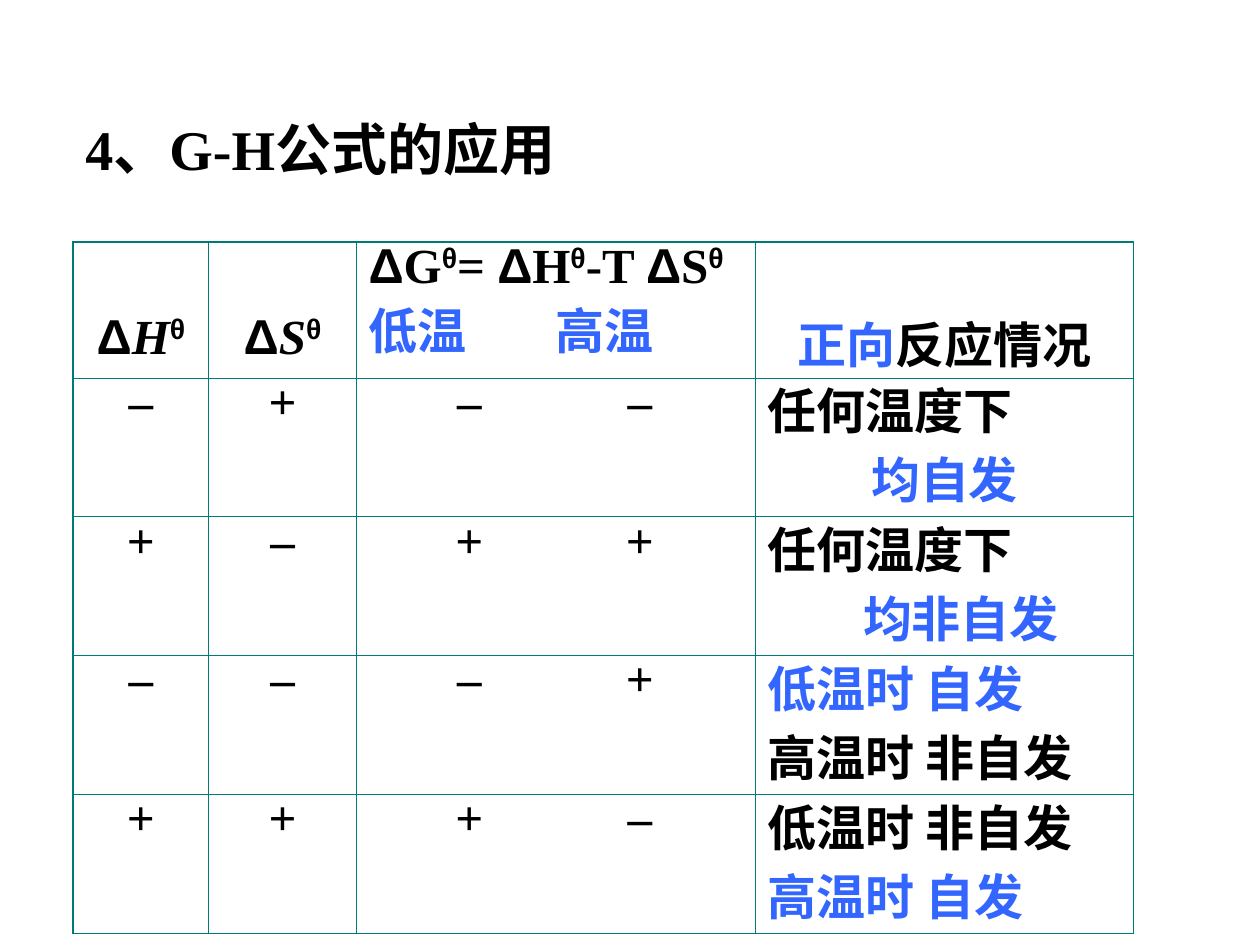
from lxml.etree import SubElement
from pptx import Presentation
from pptx.dml.color import RGBColor
from pptx.enum.text import MSO_ANCHOR, PP_ALIGN
from pptx.oxml.ns import qn
from pptx.util import Cm, Pt

BLACK, BLUE, TEAL = "000000", "3366FF", "007A77"


def rgb(value):
    return RGBColor.from_string(value)


def add_line(p, runs, size=28, align=PP_ALIGN.LEFT, tabs=()):
    """Fill a paragraph; run flags: a = Arial, i = italic, ^ = superscript, b = blue."""
    p.alignment = align
    if tabs:
        tab_list = SubElement(p._p.get_or_add_pPr(), qn("a:tabLst"))
        for pos, kind in tabs:
            SubElement(tab_list, qn("a:tab"), pos=str(Cm(pos)), algn=kind)
    p.font.size, p.font.bold = Pt(size), True
    for text, flags in runs:
        r = p.add_run()
        r.text = text
        r.font.name = "Arial" if "a" in flags else "Times New Roman"
        r.font.color.rgb = rgb(BLUE if "b" in flags else BLACK)
        if "i" in flags:
            r.font.italic = True
        if "^" in flags:
            r._r.get_or_add_rPr().set("baseline", "30000")


prs = Presentation()
prs.slide_width, prs.slide_height = Cm(25.4), Cm(19.05)
s = prs.slides.add_slide(prs.slide_layouts[6])

# Title
tf = s.shapes.add_textbox(Cm(1.47), Cm(2.34), Cm(10.9), Cm(1.47)).text_frame
tf.word_wrap = False
tf.paragraphs[0].line_spacing = 0.9
add_line(tf.paragraphs[0], [("4、G-H公式的应用", "")], size=32)

# Table content: each cell is a list of lines, each line a list of runs
delta, theta = ("Δ", "a"), ("θ", "a^")
header = [
    [[delta, ("H", "i"), theta]],
    [[delta, ("S", "i"), theta]],
    [[delta, ("G", ""), theta, ("= ", ""), delta, ("H", ""), theta,
      ("-T ", ""), delta, ("S", ""), theta],
     [("低温\t高温", "b")]],
    [[("正向", "b"), ("反应情况", "")]],
]
cases = [
    ("–", "+", "\t–\t–", [("任何温度下", ""), ("均自发", "b")]),
    ("+", "–", "\t+\t+", [("任何温度下", ""), ("均非自发", "b")]),
    ("–", "–", "\t–\t+", [("低温时 自发", "b"), ("高温时 非自发", "")]),
    ("+", "+", "\t+\t–", [("低温时 非自发", ""), ("高温时 自发", "b")]),
]
rows = [header] + [
    [[[(sign, "")]] for sign in signs] + [[[run] for run in result]]
    for *signs, result in cases
]
widths = [2.74, 2.97, 8.05, 7.62]
heights = [2.74] + [2.8] * 4

# Table
table = s.shapes.add_table(len(rows), len(widths), Cm(1.47), Cm(4.88),
                           Cm(sum(widths)), Cm(sum(heights))).table
table.first_row = table.horz_banding = False
for column, width in zip(table.columns, widths):
    column.width = Cm(width)
for row, height in zip(table.rows, heights):
    row.height = Cm(height)

for i, row in enumerate(rows):
    for j, lines in enumerate(row):
        cell = table.cell(i, j)
        cell.margin_left = cell.margin_right = Cm(0.25)
        cell.margin_top = cell.margin_bottom = Cm(0.13)
        if i == 0 and j != 2:
            cell.vertical_anchor = MSO_ANCHOR.BOTTOM
            cell.margin_bottom = Cm(0.06 if j == 3 else 0.3)

        # Borders: heavier around the outside
        tc_pr = cell._tc.get_or_add_tcPr()
        outer = {"L": j == 0, "R": j == len(widths) - 1,
                 "T": i == 0, "B": i == len(rows) - 1}
        for side, is_outer in outer.items():
            ln = SubElement(tc_pr, qn(f"a:ln{side}"), w=str(Pt(1.08 if is_outer else 0.45)))
            SubElement(SubElement(ln, qn("a:solidFill")), qn("a:srgbClr"), val=TEAL)
        cell.fill.background()

        # Text
        tf = cell.text_frame
        for k, runs in enumerate(lines):
            p = tf.add_paragraph() if k else tf.paragraphs[0]
            p.line_spacing = 0.8
            if k:
                p.space_before = Pt(7)
            text = runs[0][0]
            centred = j < 2 or (j == 3 and (i == 0 or text.startswith("均")))
            tabs = []
            if j == 2:
                if i:
                    tabs = [(2.03, "ctr"), (5.47, "ctr")]
                elif k:
                    tabs = [(3.76, "l")]
            if text == "均非自发":
                p._p.get_or_add_pPr().set("marL", str(Cm(0.66)))
            add_line(p, runs, align=PP_ALIGN.CENTER if centred else PP_ALIGN.LEFT, tabs=tabs)

prs.save("out.pptx")
